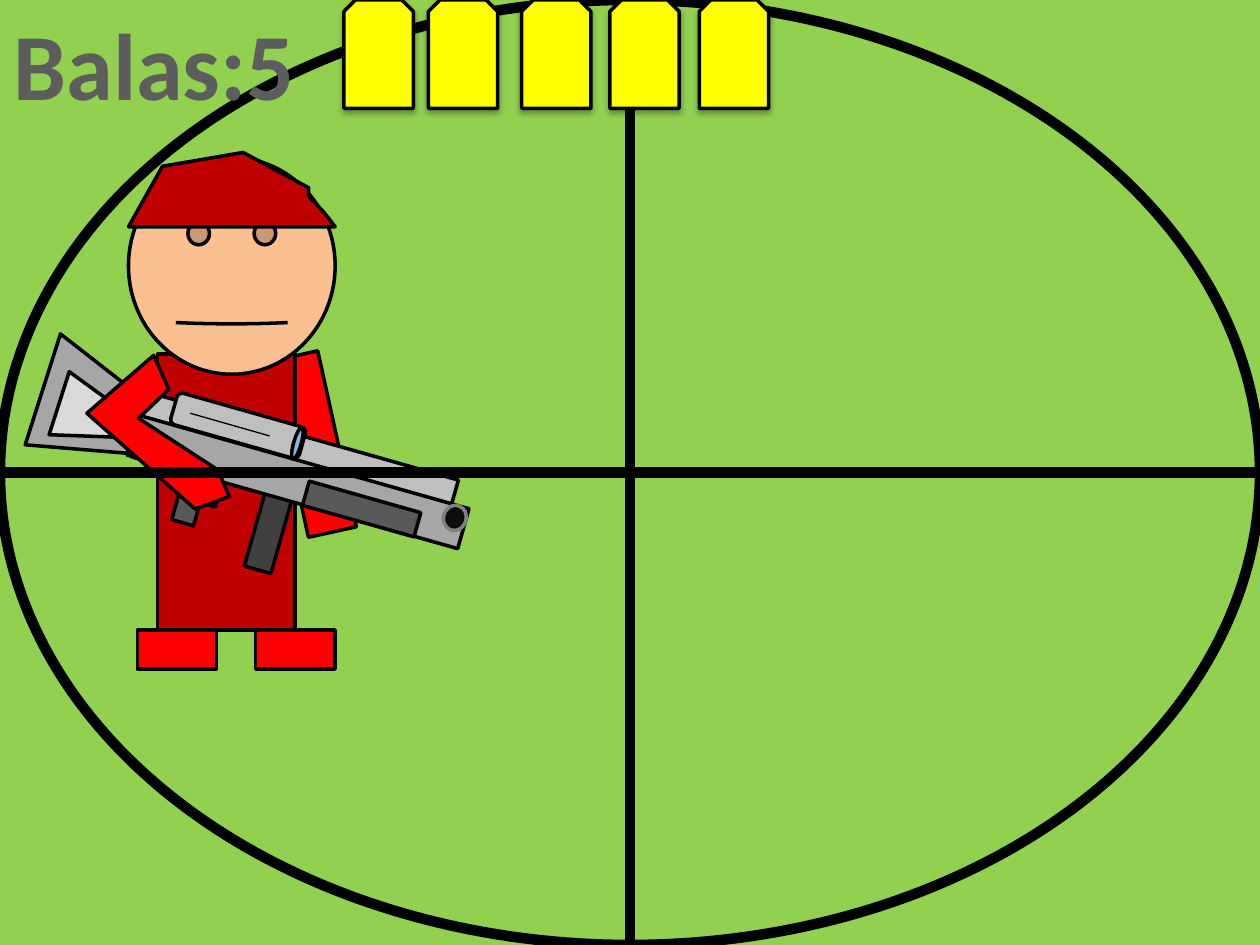
from dataclasses import dataclass

from lxml.etree import SubElement
from pptx import Presentation
from pptx.dml.color import RGBColor
from pptx.enum.shapes import MSO_CONNECTOR as Link, MSO_SHAPE as Kind
from pptx.enum.text import MSO_ANCHOR as Anchor, MSO_AUTO_SIZE as Fit, PP_ALIGN as Align
from pptx.oxml.ns import qn
from pptx.util import Inches, Pt


@dataclass(frozen=True)
class Theme:
    """Colours, type and line widths of the slide."""
    grass: str = "92D050"
    ink: str = "000000"
    label: str = "5D5D5D"
    bullet: str = "FFFF00"
    cloth: str = "C00000"
    red: str = "FF0000"
    skin: str = "FAC090"
    charcoal: str = "404040"
    iron: str = "595959"
    steel: str = "A6A6A6"
    silver: str = "BFBFBF"
    pale: str = "D9D9D9"
    lens: str = "8EB4E3"
    muzzle: str = "0D0D0D"
    rim: str = "808080"
    font: str = "Calibri"
    label_size: int = 54
    hairline: float = 0.75
    outline: float = 2
    sight: float = 6


@dataclass(frozen=True)
class Box:
    """A region whose grid cells are a tenth of an inch."""
    left: float
    top: float
    width: float
    height: float
    cell: float = 0.1

    def point(self, column, row):
        """Return the slide position of a grid point."""
        return Inches(self.left + column * self.cell), Inches(self.top + row * self.cell)

    def area(self, column, row, columns, rows):
        """Return the slide position and size of a block of cells."""
        return *self.point(column, row), Inches(columns * self.cell), Inches(rows * self.cell)


THEME = Theme()
GUN_TILT = 15.8


def rgb(code):
    """Turn a hex code into a colour."""
    return RGBColor.from_string(code)


def paint(shape, fill=None, line=THEME.ink, width=THEME.outline):
    """Give a shape its fill and outline, without a shadow."""
    shape.shadow.inherit = False
    if fill:
        shape.fill.solid()
        shape.fill.fore_color.rgb = rgb(fill)
    else:
        shape.fill.background()
    shape.line.color.rgb = rgb(line)
    shape.line.width = Pt(width)
    return shape


def draw_shape(shapes, box, kind, cells, fill=None, tilt=0, **look):
    """Place a preset shape on the grid of a box."""
    shape = paint(shapes.add_shape(kind, *box.area(*cells)), fill, **look)
    shape.rotation = tilt
    return shape


def draw_outline(shapes, box, points, fill):
    """Place a closed polygon on the grid of a box."""
    start, *rest = [box.point(*point) for point in points]
    builder = shapes.build_freeform(*start, scale=1.0)
    builder.add_line_segments(rest, close=True)
    return paint(builder.convert_to_shape(), fill)


def draw_line(shapes, box, start, end, width):
    """Place a straight line on the grid of a box."""
    line = shapes.add_connector(Link.STRAIGHT, *box.point(*start), *box.point(*end))
    line.line.color.rgb = rgb(THEME.ink)
    line.line.width = Pt(width)
    SubElement(line._element.spPr, qn("a:effectLst"))


def curve(points, steps=12):
    """Sample a cubic curve given by four points."""
    def blend(values, t):
        a, b, c, d = values
        u = 1 - t
        return a * u**3 + 3 * b * u * u * t + 3 * c * u * t * t + d * t**3
    return [tuple(blend(axis, step / steps) for axis in zip(*points))
            for step in range(steps + 1)]


def draw_body(shapes, box):
    """Draw the far arm, the torso and the face."""
    draw_shape(shapes, box, Kind.RECTANGLE, (22.9, 18.1, 3.9, 14.3), THEME.red, 347.6)
    draw_shape(shapes, box, Kind.RECTANGLE, (12.5, 18.1, 10.9, 21.9), THEME.cloth)
    face = draw_shape(shapes, box, Kind.SMILEY_FACE, (10.2, 2.5, 16.4, 17.2), THEME.skin)
    face.adjustments[0] = 0.003


def draw_rifle(shapes, box):
    """Draw the rifle from its stock to its muzzle."""
    stock = [(4.8, 16.5), (2, 25.3), (10.4, 26), (12.1, 22.2)]
    stock_inset = [(5.5, 19.5), (3.9, 24.5), (9.3, 24.7), (10.3, 23)]
    draw_outline(shapes, box, stock, THEME.steel)
    draw_outline(shapes, box, stock_inset, THEME.pale)
    parts = [
        (Kind.RECTANGLE, (20.6, 26.2, 2.2, 9.2), THEME.charcoal),
        (Kind.RECTANGLE, (14.4, 25.7, 1.8, 5.9), THEME.iron),
        (Kind.RECTANGLE, (11.1, 24.6, 25.5, 2), THEME.silver),
        (Kind.RECTANGLE, (10, 26.6, 27.3, 3.3), THEME.steel),
        (Kind.RECTANGLE, (16.1, 28.1, 1.3, 2), None),
        (Kind.ROUNDED_RECTANGLE, (13.6, 22.5, 10.6, 2.6), THEME.silver),
        (Kind.OVAL, (23.3, 23.9, 0.6, 2.6), THEME.lens),
        (Kind.RECTANGLE, (24.1, 29.4, 9.2, 2), THEME.iron),
        (Kind.RECTANGLE, (10.8, 23.9, 1.3, 2.6), THEME.iron),
    ]
    for kind, cells, fill in parts:
        draw_shape(shapes, box, kind, cells, fill, GUN_TILT)
    draw_shape(shapes, box, Kind.OVAL, (35.2, 30.1, 1.8, 2), THEME.muzzle, GUN_TILT,
               line=THEME.rim)
    draw_line(shapes, box, (15.1, 22.8), (21.4, 24.6), THEME.hairline)


def draw_clothes(shapes, box):
    """Draw the cap, the shoes and the near arm."""
    cap_edge = curve([(26.6, 8), (24.4, 5), (24.5, 6.3), (24.5, 4.9)])
    cap = [(10.2, 8), *cap_edge, (19.3, 2.1), (12.9, 3.2)]
    draw_outline(shapes, box, cap, THEME.cloth)
    for column in (10.9, 20.3):
        draw_shape(shapes, box, Kind.RECTANGLE, (column, 40, 6.3, 3.1), THEME.red)
    arm = [(12.2, 18.2), (6.9, 22.8), (15.5, 30.4), (18.2, 29.4),
           (17.3, 27.3), (11, 23.2), (13.4, 20.9)]
    draw_outline(shapes, box, arm, THEME.red)


def draw_soldier(page, box):
    """Draw the soldier as one group."""
    group = page.shapes.add_group_shape()
    for draw_part in (draw_body, draw_rifle, draw_clothes):
        draw_part(group.shapes, box)


def draw_sight(page, box):
    """Draw the ring and crosshair that fill the box."""
    columns, rows = box.width / box.cell, box.height / box.cell
    draw_shape(page.shapes, box, Kind.OVAL, (0, 0, columns, rows), width=THEME.sight)
    draw_line(page.shapes, box, (columns / 2, 0), (columns / 2, rows), THEME.sight)
    draw_line(page.shapes, box, (columns, rows / 2), (0, rows / 2), THEME.sight)


def write_counter(page, box):
    """Write the bullet count in the title, above the sight."""
    title = page.shapes.title
    page.shapes._spTree.append(title._element)
    place = dict(zip(("left", "top", "width", "height"),
                     box.area(0, 0, box.width / box.cell, box.height / box.cell)))
    for name, value in place.items():
        setattr(title, name, value)
    frame = title.text_frame
    frame_format = {"word_wrap": False, "auto_size": Fit.SHAPE_TO_FIT_TEXT,
                    "vertical_anchor": Anchor.TOP}
    for name, value in frame_format.items():
        setattr(frame, name, value)
    para = frame.paragraphs[0]
    para.alignment = Align.CENTER
    span = para.add_run()
    span.text = "Balas:5"
    for name, value in {"name": THEME.font, "size": Pt(THEME.label_size), "bold": True}.items():
        setattr(span.font, name, value)
    span.font.color.rgb = rgb(THEME.label)


def cast_shadow(shape):
    """Give a shape a soft shadow straight below."""
    effects = shape._element.spPr.find(qn("a:effectLst"))
    shadow = SubElement(effects, qn("a:outerShdw"), blurRad=str(Pt(3.5)), dist=str(Pt(2.2)),
                        dir="5400000", rotWithShape="0")
    colour = SubElement(shadow, qn("a:srgbClr"), val=THEME.ink)
    SubElement(colour, qn("a:alpha"), val="32000")


def draw_bullets(page, box):
    """Draw the row of bullets that are left."""
    for column in (0, 6.7, 14.1, 21.1, 28.2):
        cells = (column, 0, 5.5, box.height / box.cell)
        cast_shadow(draw_shape(page.shapes, box, Kind.SNIP_2_SAME_RECTANGLE, cells,
                               THEME.bullet))


def build():
    """Build the slide and save the deck."""
    deck = Presentation()
    deck.slide_width, deck.slide_height = Inches(10), Inches(7.5)
    page = deck.slides.add_slide(deck.slide_layouts[5])
    page.background.fill.solid()
    page.background.fill.fore_color.rgb = rgb(THEME.grass)
    draw_soldier(page, Box(0, 1, 4, 4.4))
    draw_sight(page, Box(0, 0, 10, 7.5))
    write_counter(page, Box(0, 0, 2.45, 1.01))
    draw_bullets(page, Box(2.73, 0, 3.37, 0.86))
    deck.save("out.pptx")


build()
